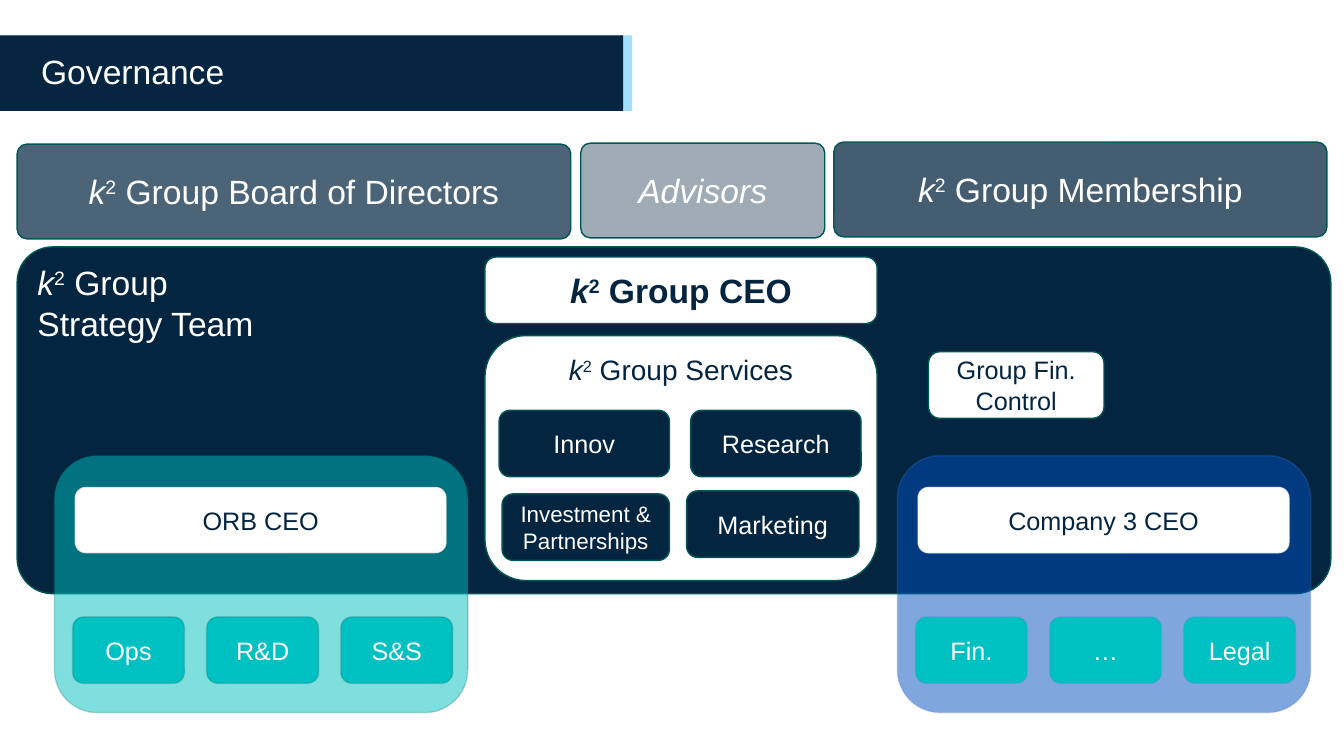
from dataclasses import dataclass
from typing import Any, Optional

from lxml.etree import SubElement
from pptx import Presentation
from pptx.dml.color import RGBColor
from pptx.enum.shapes import MSO_SHAPE as Preset
from pptx.enum.text import MSO_ANCHOR as Anchor, PP_ALIGN as Align
from pptx.oxml.ns import qn
from pptx.util import Inches, Pt


@dataclass(frozen=True)
class Theme:
    font: str = "Arial"
    white: str = "FFFFFF"
    navy: str = "042540"
    banner: str = "052540"
    banner_edge: str = "A2DEFD"
    teal: str = "00C1C1"
    teal_edge: str = "005555"
    blue: str = "0050BF"
    blue_edge: str = "4E7FDE"
    heading: int = 24
    subheading: int = 20
    body: int = 18
    small: int = 16
    superscript: int = 30
    faint: int = 22


THEME = Theme()


@dataclass(frozen=True)
class Panel:
    left: float
    top: float
    width: float
    height: float
    text: str = ""
    fill: str = THEME.navy
    opacity: int = 100
    edge: Optional[str] = THEME.teal_edge
    edge_opacity: int = 100
    color: str = THEME.white
    size: int = THEME.body
    bold: bool = False
    italic: bool = False
    squared: bool = False
    corner: Optional[float] = None
    align: Align = Align.CENTER
    anchor: Anchor = Anchor.MIDDLE


@dataclass(frozen=True)
class Company:
    left: float
    chief: str
    teams: tuple[str, ...]
    fill: str
    edge: str


def apply(target: Any, values: dict[str, Any]) -> None:
    for attribute, value in values.items():
        setattr(target, attribute, value)


def set_opacity(color_format: Any, percent: int) -> None:
    if percent < 100:
        color = color_format._xFill.find(qn("a:srgbClr"))
        SubElement(color, qn("a:alpha")).set("val", str(percent * 1000))


def write_text(frame: Any, panel: Panel) -> None:
    apply(frame, {"word_wrap": True, "vertical_anchor": panel.anchor})
    paragraph = frame.paragraphs[0]
    paragraph.alignment = panel.align

    def add_run(words: str, italic: bool = False, raised: bool = False) -> None:
        run = paragraph.add_run()
        run.text = words
        apply(run.font, {"name": THEME.font, "size": Pt(panel.size),
                         "bold": panel.bold, "italic": italic})
        run.font.color.rgb = RGBColor.from_string(panel.color)
        if raised:
            run._r.get_or_add_rPr().set("baseline", str(THEME.superscript * 1000))

    for number, line in enumerate(panel.text.split("\n")):
        if number:
            paragraph.add_line_break()
        base, square, rest = line.partition("²")
        if square:
            add_run(base, italic=True)
            add_run("2", raised=True)
            add_run(rest)
        else:
            add_run(line, panel.italic)


def draw_panel(shapes: Any, panel: Panel) -> None:
    preset = Preset.RECTANGLE if panel.squared else Preset.ROUNDED_RECTANGLE
    box = shapes.add_shape(preset, Inches(panel.left), Inches(panel.top),
                           Inches(panel.width), Inches(panel.height))
    box.shadow.inherit = False
    if panel.corner is not None:
        box.adjustments[0] = panel.corner
    box.fill.solid()
    box.fill.fore_color.rgb = RGBColor.from_string(panel.fill)
    set_opacity(box.fill.fore_color, panel.opacity)
    if panel.edge:
        box.line.width = Pt(1)
        box.line.color.rgb = RGBColor.from_string(panel.edge)
        set_opacity(box.line.color, panel.edge_opacity)
    else:
        box.line.fill.background()
    if panel.text:
        write_text(box.text_frame, panel)


def draw_company(shapes: Any, company: Company) -> None:
    members = shapes.add_group_shape().shapes
    outline = {"edge": company.edge, "edge_opacity": THEME.faint}
    draw_panel(members, Panel(company.left, 4.52, 4.1, 2.55, fill=company.fill,
                              opacity=50, **outline))
    draw_panel(members, Panel(company.left + 0.2, 4.83, 3.69, 0.66, company.chief,
                              THEME.white, color=THEME.navy, **outline))
    for position, team in enumerate(company.teams):
        draw_panel(members, Panel(company.left + 0.18 + 1.33 * position, 6.12,
                                  1.11, 0.66, team, THEME.teal, **outline))


def draw_title(shapes: Any) -> None:
    for width, fill in ((6.27, THEME.banner_edge), (6.18, THEME.banner)):
        draw_panel(shapes, Panel(0, 0.35, width, 0.75, fill=fill, edge=None, squared=True))
    title = Panel(0.31, 0.46, 5.34, 0.54, "Governance", size=THEME.heading, align=Align.LEFT)
    box = shapes.add_textbox(Inches(title.left), Inches(title.top),
                             Inches(title.width), Inches(title.height))
    write_text(box.text_frame, title)
    box.text_frame.paragraphs[0].line_spacing = 0.9


HEADING = {"size": THEME.heading, "corner": 0.102}
ON_WHITE = {"fill": THEME.white, "color": THEME.navy}

PANELS = (
    Panel(0.17, 2.45, 13.03, 3.44, "k² Group\nStrategy Team",
          align=Align.LEFT, anchor=Anchor.TOP, **HEADING),
    Panel(4.81, 3.33, 3.89, 2.43, "k² Group Services", size=THEME.subheading,
          anchor=Anchor.TOP, **ON_WHITE),
    Panel(4.81, 2.55, 3.89, 0.66, "k² Group CEO", size=THEME.heading, bold=True, **ON_WHITE),
    Panel(4.95, 4.07, 1.69, 0.66, "Innov"),
    Panel(6.85, 4.07, 1.69, 0.66, "Research"),
    Panel(4.98, 4.9, 1.66, 0.66, "Investment & Partnerships", size=THEME.small),
    Panel(6.81, 4.87, 1.71, 0.66, "Marketing"),
    Panel(9.21, 3.49, 1.74, 0.66, "Group Fin.\nControl", **ON_WHITE),
    Panel(0.17, 1.43, 5.49, 0.94, "k² Group Board of Directors", opacity=71, **HEADING),
    Panel(5.76, 1.42, 2.42, 0.94, "Advisors", opacity=38, italic=True, **HEADING),
    Panel(8.27, 1.41, 4.89, 0.94, "k² Group Membership", opacity=74, **HEADING),
)

COMPANIES = (
    Company(0.54, "ORB CEO", ("Ops", "R&D", "S&S"), THEME.teal, THEME.teal_edge),
    Company(8.9, "Company 3 CEO", ("Fin.", "…", "Legal"), THEME.blue, THEME.blue_edge),
)


def main() -> None:
    deck = Presentation()
    apply(deck, {"slide_width": Inches(13.33), "slide_height": Inches(7.5)})
    shapes = deck.slides.add_slide(deck.slide_layouts[6]).shapes
    draw_title(shapes)
    for panel in PANELS:
        draw_panel(shapes, panel)
    for company in COMPANIES:
        draw_company(shapes, company)
    deck.save("out.pptx")


if __name__ == "__main__":
    main()
